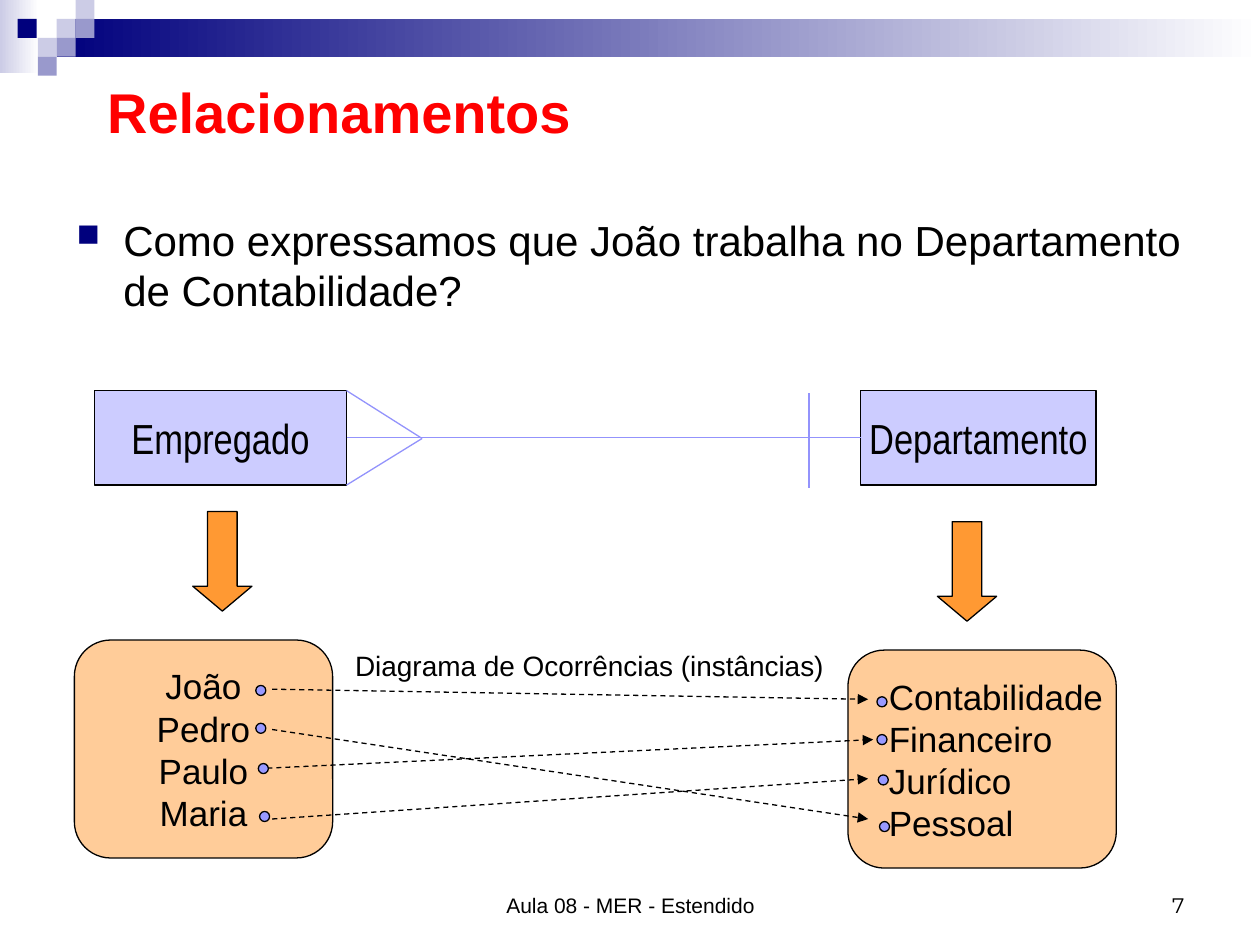
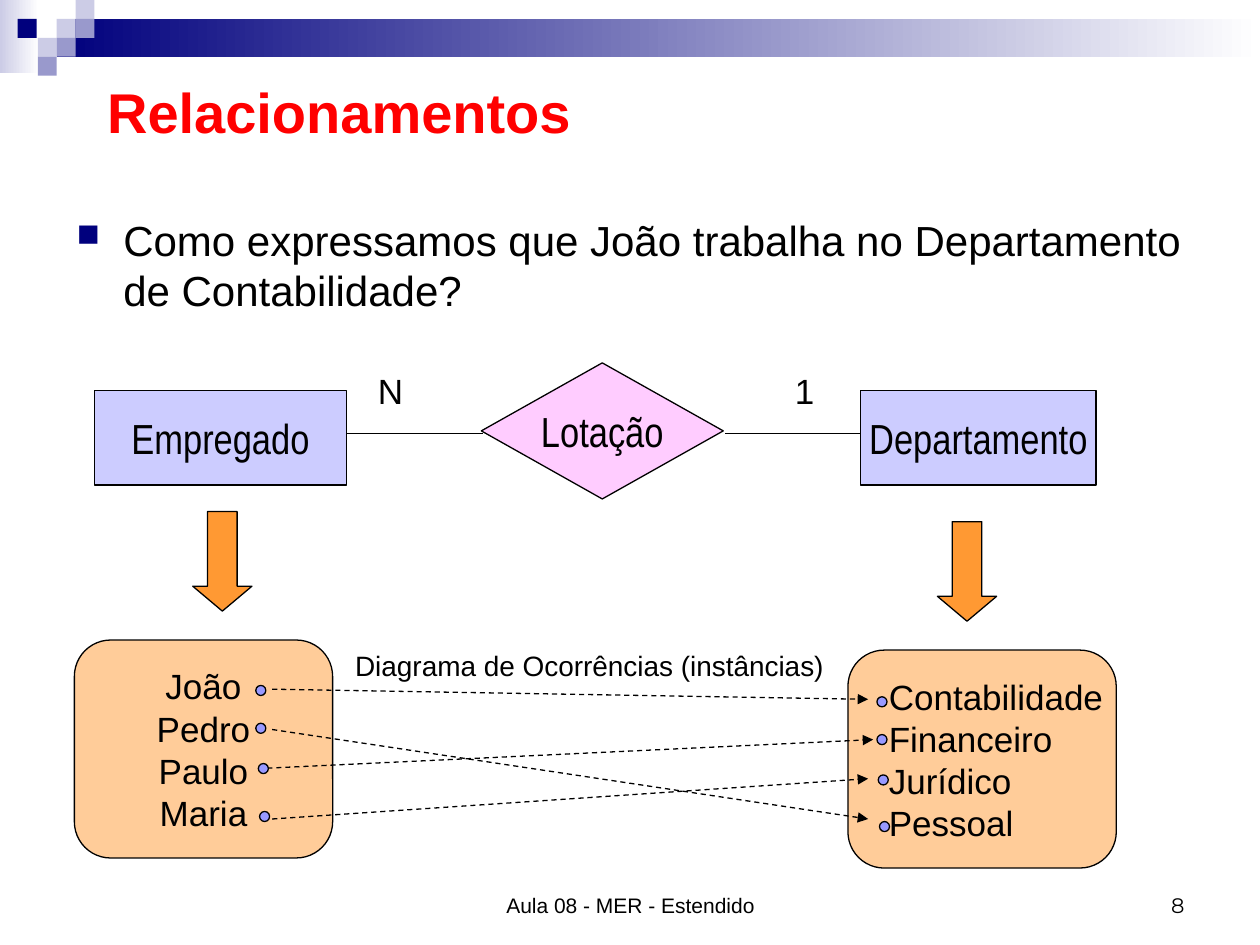
from lxml.etree import SubElement
from pptx import Presentation
from pptx.dml.color import RGBColor
from pptx.enum.dml import MSO_LINE
from pptx.enum.shapes import MSO_CONNECTOR, MSO_SHAPE
from pptx.enum.text import MSO_ANCHOR, PP_ALIGN
from pptx.oxml.ns import qn
from pptx.util import Inches, Pt

BLACK = RGBColor(0x00, 0x00, 0x00)
WHITE = RGBColor(0xFF, 0xFF, 0xFF)
RED = RGBColor(0xFF, 0x00, 0x00)
NAVY = RGBColor(0x00, 0x00, 0x7D)
PALE = RGBColor(0xCC, 0xCC, 0xE6)
MID = RGBColor(0x99, 0x99, 0xCC)
LAVENDER = RGBColor(0xCC, 0xCC, 0xFF)
PINK = RGBColor(0xFF, 0xCC, 0xFF)
PEACH = RGBColor(0xFF, 0xCC, 0x99)
ORANGE = RGBColor(0xFF, 0x99, 0x33)
DOT_BLUE = RGBColor(0x99, 0x99, 0xFF)
CROW_BLUE = RGBColor(0x93, 0x93, 0xFC)

SANS, NARROW, NUMBER_FONT = "Arial", "Arial Narrow", "Montserrat"
TILE = 0.15
TILES = [
    (0.45, 0.15, PALE), (0.6, 0, PALE), (0.6, 0.15, MID),
    (0.3, 0.3, PALE), (0.14, 0.15, NAVY), (0.45, 0.3, MID), (0.3, 0.45, MID),
]
EMPLOYEES = ["João", "Pedro", "Paulo", "Maria"]
DEPARTMENTS = ["Contabilidade", "Financeiro", "Jurídico", "Pessoal"]
DOT = 0.08
DOTS = [
    (2.03, 5.44), (2.03, 5.74), (2.05, 6.06), (2.06, 6.44),
    (6.96, 5.53), (6.96, 5.83), (6.97, 6.15), (6.98, 6.52),
]
ASSIGNMENTS = [
    ((2.16, 5.47), (6.89, 5.55)),
    ((2.16, 5.79), (6.89, 6.5)),
    ((2.05, 6.1), (6.93, 5.87)),
    ((2.16, 6.5), (6.89, 6.18)),
]


class Deck:
    def __init__(self):
        self.prs = Presentation()
        self.prs.slide_width = Inches(10)
        self.prs.slide_height = Inches(7.5)
        self.slide = None

    def new_slide(self, title, number):
        self.slide = self.prs.slides.add_slide(self.prs.slide_layouts[5])
        self.header_band()
        heading = self.slide.shapes.title
        heading.left, heading.top = Inches(0.75), Inches(0.52)
        heading.width, heading.height = Inches(9.01), Inches(0.73)
        self.set_text(heading, [title], 32, color=RED, bold=True, wrap=True)
        self.text(7.17, 6.83, 2.33, 0.5, str(number), 12, font=NUMBER_FONT,
                  align=PP_ALIGN.RIGHT, anchor=MSO_ANCHOR.BOTTOM, wrap=True)
        self.text(3.42, 6.83, 3.17, 0.5, "Aula 08 - MER - Estendido", 12,
                  align=PP_ALIGN.CENTER, anchor=MSO_ANCHOR.BOTTOM, wrap=True)

    def header_band(self):
        self.gradient(0, 0, 0.31, 0.58, PALE)
        self.gradient(0.45, 0.15, 9.55, 0.3, NAVY)
        for left, top, color in TILES:
            self.shape(MSO_SHAPE.RECTANGLE, left, top, TILE, TILE, color, outlined=False)

    def set_text(self, holder, lines, size, font=SANS, color=BLACK, bold=False,
                 align=PP_ALIGN.LEFT, anchor=MSO_ANCHOR.MIDDLE, wrap=False):
        frame = holder.text_frame
        frame.text = "\n".join(lines)
        frame.word_wrap = wrap
        frame.vertical_anchor = anchor
        for paragraph in frame.paragraphs:
            paragraph.alignment = align
            for run in paragraph.runs:
                run.font.name, run.font.size = font, Pt(size)
                run.font.bold, run.font.color.rgb = bold, color

    def text(self, left, top, width, height, content, size,
             anchor=MSO_ANCHOR.TOP, **style):
        box = self.slide.shapes.add_textbox(
            Inches(left), Inches(top), Inches(width), Inches(height))
        self.set_text(box, [content], size, anchor=anchor, **style)
        return box

    def bullet(self, left, top, width, height, content):
        box = self.text(left, top, width, height, content, 24, wrap=True)
        props = box.text_frame.paragraphs[0]._p.get_or_add_pPr()
        props.set("marL", str(Inches(0.37)))
        props.set("indent", str(-Inches(0.37)))
        bullet_color = SubElement(props, qn("a:buClr"))
        SubElement(bullet_color, qn("a:srgbClr"), val=str(NAVY))
        SubElement(props, qn("a:buSzPct"), val="75000")
        SubElement(props, qn("a:buChar"), char="■")

    def shape(self, kind, left, top, width, height, color, outlined=True):
        item = self.slide.shapes.add_shape(
            kind, Inches(left), Inches(top), Inches(width), Inches(height))
        item.shadow.inherit = False
        item.fill.solid()
        item.fill.fore_color.rgb = color
        if outlined:
            item.line.color.rgb = BLACK
            item.line.width = Pt(0.75)
        else:
            item.line.fill.background()
        return item

    def gradient(self, left, top, width, height, color):
        """Rectangle that fades from color to white, left to right."""
        fill = self.shape(MSO_SHAPE.RECTANGLE, left, top, width, height,
                          color, outlined=False).fill
        fill.gradient()
        fill.gradient_angle = 0
        for stop, stop_color, position in zip(fill.gradient_stops, (color, WHITE), (0, 1)):
            stop.color.rgb = stop_color
            stop.position = position

    def node(self, kind, left, top, width, height, color, label):
        item = self.shape(kind, left, top, width, height, color)
        self.set_text(item, [label], 24, font=NARROW, align=PP_ALIGN.CENTER)
        return item

    def instances(self, left, top, width, names, align):
        group = self.shape(MSO_SHAPE.ROUNDED_RECTANGLE, left, top, width, 1.73, PEACH)
        self.set_text(group, names, 20, align=align)
        return group

    def down_arrow(self, left, top):
        arrow = self.shape(MSO_SHAPE.DOWN_ARROW, left, top, 0.47, 0.79, ORANGE)
        arrow.adjustments[1] = 0.42

    def line(self, start, end, color=BLACK, dashed_arrow=False):
        link = self.slide.shapes.add_connector(
            MSO_CONNECTOR.STRAIGHT, *(Inches(value) for value in (*start, *end)))
        link.line.color.rgb = color
        link.line.width = Pt(0.75)
        properties = link._element.spPr
        if dashed_arrow:
            link.line.dash_style = MSO_LINE.DASH
            SubElement(properties.find(qn("a:ln")), qn("a:tailEnd"), type="triangle")
        SubElement(properties, qn("a:effectLst"))
        return link


def question_and_entities(deck, number):
    deck.new_slide("Relacionamentos", number)
    deck.bullet(0.51, 1.65, 9.01, 1,
                "Como expressamos que João trabalha no Departamento de Contabilidade?")
    employee = deck.node(MSO_SHAPE.RECTANGLE, 0.75, 3.1, 2, 0.75, LAVENDER, "Empregado")
    department = deck.node(MSO_SHAPE.RECTANGLE, 6.83, 3.1, 1.87, 0.75, LAVENDER,
                           "Departamento")
    return employee, department


def occurrence_diagram(deck):
    deck.instances(0.59, 5.08, 2.05, EMPLOYEES, PP_ALIGN.CENTER)
    departments = deck.instances(6.73, 5.16, 2.13, DEPARTMENTS, PP_ALIGN.LEFT)
    departments.text_frame.margin_left = Inches(0.24)
    departments.text_frame.margin_right = 0
    deck.down_arrow(1.53, 4.06)
    deck.down_arrow(7.44, 4.14)
    for start, end in ASSIGNMENTS:
        deck.line(start, end, dashed_arrow=True)
    for left, top in DOTS:
        deck.shape(MSO_SHAPE.OVAL, left, top, DOT, DOT, DOT_BLUE)
    deck.text(2.72, 5.1, 3.92, 0.37, "Diagrama de Ocorrências (instâncias)", 16)


def crows_foot_slide(deck):
    employee, department = question_and_entities(deck, 7)
    occurrence_diagram(deck)
    relation = deck.line((2.75, 3.48), (6.83, 3.48), CROW_BLUE)
    relation.begin_connect(employee, 3)
    relation.end_connect(department, 1)
    deck.line((6.42, 3.12), (6.42, 3.87), CROW_BLUE)
    for corner_y in (3.1, 3.85):
        deck.line((3.35, 3.48), (2.75, corner_y), CROW_BLUE)


def diamond_slide(deck):
    question_and_entities(deck, 8)
    deck.node(MSO_SHAPE.FLOWCHART_DECISION, 3.82, 2.88, 1.92, 1.08, PINK, "Lotação")
    deck.line((6.83, 3.44), (5.75, 3.44))
    deck.line((2.75, 3.44), (3.83, 3.44))
    occurrence_diagram(deck)
    deck.text(6.21, 2.88, 0.43, 0.44, "1", 20)
    deck.text(2.9, 2.88, 0.4, 0.44, "N", 20)


def main():
    deck = Deck()
    crows_foot_slide(deck)
    diamond_slide(deck)
    deck.prs.save("out.pptx")


if __name__ == "__main__":
    main()
